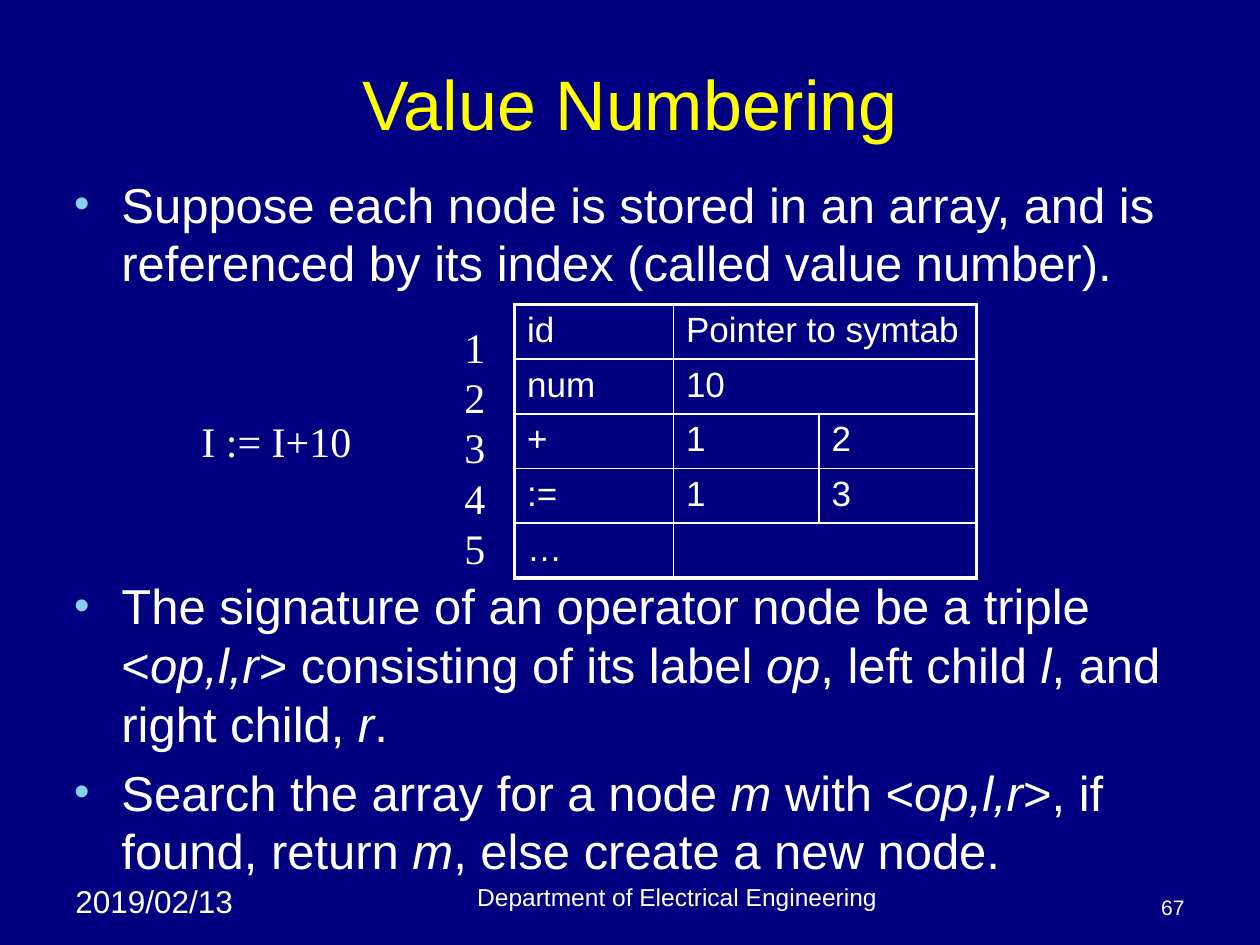
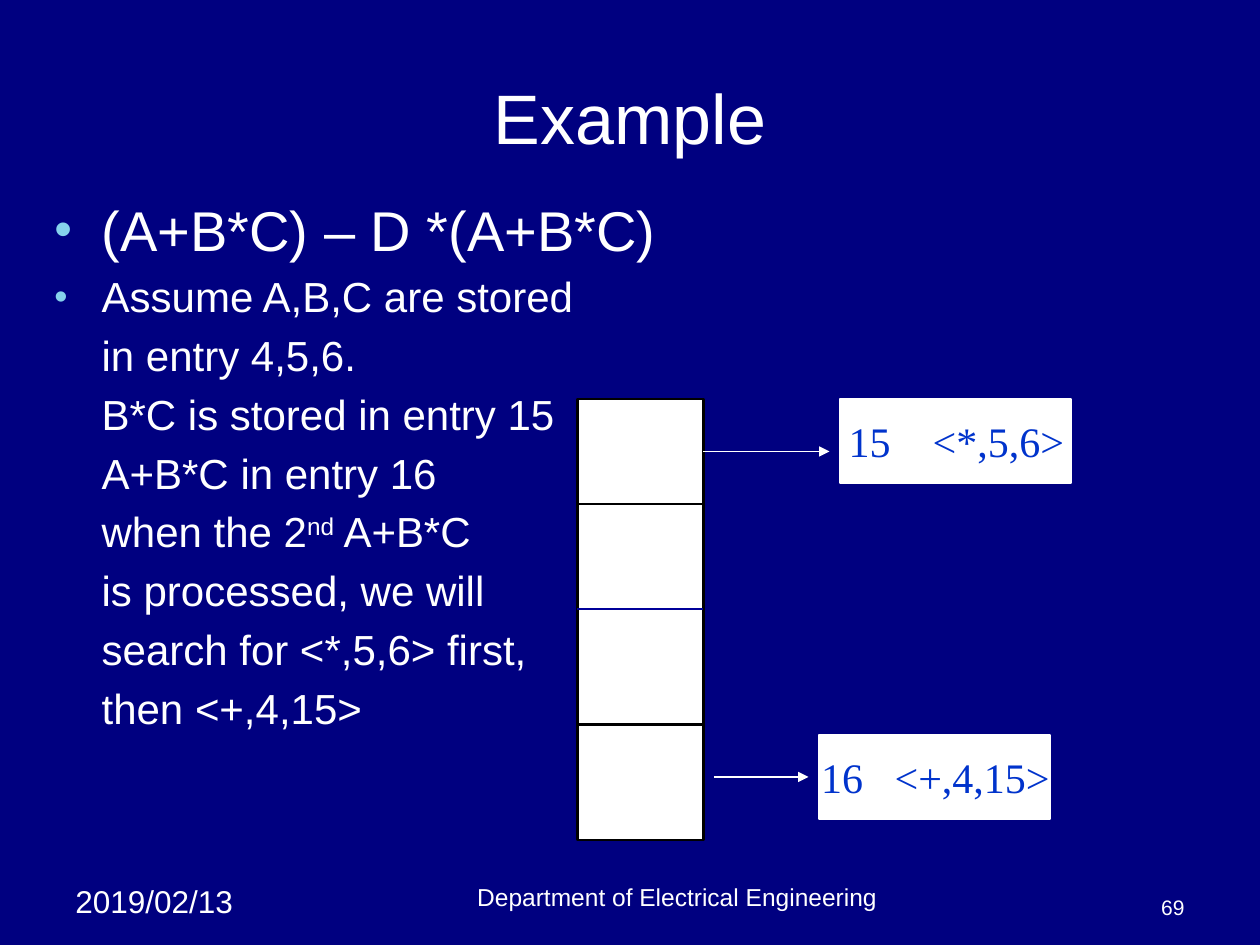
from lxml import etree
from pptx import Presentation
from pptx.dml.color import RGBColor
from pptx.enum.shapes import MSO_CONNECTOR, MSO_SHAPE
from pptx.enum.text import MSO_ANCHOR, MSO_AUTO_SIZE, PP_ALIGN
from pptx.oxml.ns import qn
from pptx.util import Pt

LEFT, CENTER, RIGHT = PP_ALIGN.LEFT, PP_ALIGN.CENTER, PP_ALIGN.RIGHT
TOP, MIDDLE, BOTTOM = MSO_ANCHOR.TOP, MSO_ANCHOR.MIDDLE, MSO_ANCHOR.BOTTOM
NO_AUTOFIT = MSO_AUTO_SIZE.NONE
STRAIGHT, RECTANGLE = MSO_CONNECTOR.STRAIGHT, MSO_SHAPE.RECTANGLE

NAVY = RGBColor(0x00, 0x00, 0x80)
WHITE = RGBColor(0xFF, 0xFF, 0xFF)
YELLOW = RGBColor(0xFF, 0xFF, 0x00)
SKY = RGBColor(0x86, 0xD1, 0xEC)
BLACK = RGBColor(0x00, 0x00, 0x00)
INK = RGBColor(0x00, 0x00, 0x99)
BLUE = RGBColor(0x00, 0x33, 0xCC)

SANS, SERIF = "Arial", "Times New Roman"
HANG = 27
ITALIC = ("i", "1")
SUPERSCRIPT = ("baseline", "30000")


def child(parent, tag, **attributes):
    return etree.SubElement(parent, qn(tag), attributes)


def places(*lengths):
    return [Pt(length) for length in lengths]


class Deck:
    def __init__(self):
        self.prs = Presentation()
        self.prs.slide_width, self.prs.slide_height = Pt(720), Pt(540)
        fill = self.prs.slide_master.background.fill
        fill.solid()
        fill.fore_color.rgb = NAVY
        self.slide = None

    def add_slide(self, title, number, box, color):
        self.slide = self.prs.slides.add_slide(self.prs.slide_layouts[5])
        heading = self.slide.shapes.title
        heading.left, heading.top, heading.width, heading.height = places(*box)
        frame = heading.text_frame
        frame.text = title
        frame.auto_size = NO_AUTOFIT
        frame.vertical_anchor = MIDDLE
        self.style(frame.paragraphs[0], 40, color=color, align=CENTER)
        # Footer
        self.text("2019/02/13", (36, 500.4, 113.8, 28.8), 18)
        self.text(str(number), (516.2, 509.8, 167.8, 19.4), 12,
                  align=RIGHT, anchor=BOTTOM)
        self.text("Department of Electrical Engineering",
                  (144, 500.4, 486, 23.8), 14, align=CENTER, anchor=BOTTOM)

    def style(self, paragraph, size, font=SANS, color=WHITE, align=LEFT):
        paragraph.alignment = align
        for run in paragraph.runs:
            run.font.size = Pt(size)
            run.font.name = font
            run.font.color.rgb = color

    def text(self, words, box, size, font=SANS, align=LEFT, anchor=TOP,
             wrap=True, leading=None):
        frame = self.slide.shapes.add_textbox(*places(*box)).text_frame
        frame.text = words
        frame.word_wrap = wrap
        frame.vertical_anchor = anchor
        for paragraph in frame.paragraphs:
            if leading:
                paragraph.line_spacing = Pt(leading)
            self.style(paragraph, size, font, align=align)

    def body(self, box, items, mark):
        """Each item: size, space before, bulleted, then runs; every second run is marked."""
        frame = self.slide.shapes.add_textbox(*places(*box)).text_frame
        frame.word_wrap = True
        for index, (size, before, bulleted, *runs) in enumerate(items):
            paragraph = frame.add_paragraph() if index else frame.paragraphs[0]
            paragraph.line_spacing = Pt(1.2 * size)
            if before:
                paragraph.space_before = Pt(before)
            props = paragraph._p.get_or_add_pPr()
            props.set("marL", str(Pt(HANG)))
            if bulleted:
                props.set("indent", str(-Pt(HANG)))
                child(child(props, "a:buClr"), "a:srgbClr", val=str(SKY))
                child(props, "a:buSzPct", val="90000")
                child(props, "a:buFont", typeface=SANS)
                child(props, "a:buChar", char="•")
            for position, words in enumerate(runs):
                run = paragraph.add_run()
                run.text = words
                if position % 2:
                    run._r.get_or_add_rPr().set(*mark)
            self.style(paragraph, size)

    def table(self, box, widths, rows):
        """A row shorter than the grid merges its last cell to the right edge."""
        last_row, last_column = len(rows) - 1, len(widths) - 1
        grid = self.slide.shapes.add_table(len(rows), len(widths),
                                           *places(*box)).table
        grid.first_row = grid.horz_banding = False
        for column, width in zip(grid.columns, widths):
            column.width = Pt(width)
        for r, row in enumerate(rows):
            grid.rows[r].height = Pt(box[3] / len(rows))
            if len(row) <= last_column:
                grid.cell(r, len(row) - 1).merge(grid.cell(r, last_column))
            for c, words in enumerate(row):
                cell = grid.cell(r, c)
                cell.text = words
                self.style(cell.text_frame.paragraphs[0], 20)
                self.borders(cell, {"a:lnL": c == 0,
                                    "a:lnR": c == len(row) - 1,
                                    "a:lnT": r == 0,
                                    "a:lnB": r == last_row})
                cell.fill.background()

    def borders(self, cell, outer_edges):
        props = cell._tc.get_or_add_tcPr()
        for tag, outer in outer_edges.items():
            edge = child(props, tag, w=str(Pt(2.25 if outer else 1)))
            child(child(edge, "a:solidFill"), "a:srgbClr", val=str(WHITE))

    def rectangle(self, box, line, weight):
        shape = self.slide.shapes.add_shape(RECTANGLE, *places(*box))
        shape.shadow.inherit = False
        shape.fill.solid()
        shape.fill.fore_color.rgb = WHITE
        shape.line.color.rgb = line
        shape.line.width = Pt(weight)
        return shape

    def entry(self, words, box, inset, tab):
        frame = self.rectangle(box, WHITE, 1).text_frame
        frame.text = words
        frame.word_wrap = False
        frame.vertical_anchor = MIDDLE
        frame.margin_left, frame.margin_right = Pt(inset), 0
        frame.word_wrap = True
        paragraph = frame.paragraphs[0]
        stops = child(paragraph._p.get_or_add_pPr(), "a:tabLst")
        child(stops, "a:tab", pos=str(Pt(tab)), algn="l")
        self.style(paragraph, 24, SERIF, BLUE)

    def line(self, start, end, y, color=WHITE, weight=1, arrow=False):
        connector = self.slide.shapes.add_connector(
            STRAIGHT, *places(start, y, end, y))
        connector.line.color.rgb = color
        connector.line.width = Pt(weight)
        if arrow:
            child(connector.line._get_or_add_ln(), "a:tailEnd", type="triangle")
        child(connector._element.spPr, "a:effectLst")


def value_numbering(deck):
    deck.add_slide("Value Numbering", 67, (36, 30, 648, 57.6), YELLOW)
    table_gap = 162.4
    deck.body((35.3, 96, 648.7, 444), [
        (28, 0, True, "Suppose each node is stored in an array, and is "
                      "referenced by its index (called value number)."),
        (28, table_gap, True, "The signature of an operator node be a triple <",
         "op,l,r", "> consisting of its label ", "op", ", left child ", "l",
         ", and right child,", " r", "."),
        (28, 5.6, True, "Search the array for a node ", "m", " with <",
         "op,l,r", ">, if found, return ", "m", ", else create a new node."),
    ], ITALIC)
    # Node array with its value numbers
    deck.table((294, 174, 264, 156), (90.8, 83.2, 90), [
        ("id", "Pointer to symtab"),
        ("num", "10"),
        ("+", "1", "2"),
        (":=", "1", "3"),
        ("…", ""),
    ])
    deck.text("1\n2\n3\n4\n5", (258, 180, 26.6, 151.2), 24, SERIF,
              align=CENTER, wrap=False, leading=28.8)
    deck.text("I := I+10", (108, 234, 100, 36), 24, SERIF,
              align=CENTER, wrap=False, leading=28.8)


def example(deck):
    deck.add_slide("Example", 69, (36, 21.6, 648, 90), WHITE)
    continuation = [
        ("in entry 4,5,6.",),
        ("B*C is stored in entry 15",),
        ("A+B*C in entry 16",),
        ("when the 2", "nd", " A+B*C"),
        ("is processed, we will",),
        ("search for <*,5,6> first,",),
        ("then <+,4,15>",),
    ]
    deck.body((24, 108, 642, 378), [
        (32, 0, True, "(A+B*C) – D *(A+B*C)"),
        (24, 4.8, True, "Assume A,B,C are stored"),
        *((24, 4.8, False, *runs) for runs in continuation),
    ], SUPERSCRIPT)
    # Array of entries
    left, right = 330, 402
    deck.rectangle((left, 228, right - left, 252), BLACK, 1.5)
    for y, color, weight in ((348, INK, 1), (288, BLACK, 1.5), (414, BLACK, 1.5)):
        deck.line(left, right, y, color, weight)
    # Entries pointed to
    deck.entry("15\t<*,5,6>", (480, 228, 132, 48), 5, 48)
    deck.line(right, 474, 258, arrow=True)
    deck.entry("16\t<+,4,15>", (468, 420, 132, 48), 1.2, 42)
    deck.line(408, 462, 444, arrow=True)


def main():
    deck = Deck()
    value_numbering(deck)
    example(deck)
    deck.prs.save("out.pptx")


if __name__ == "__main__":
    main()
